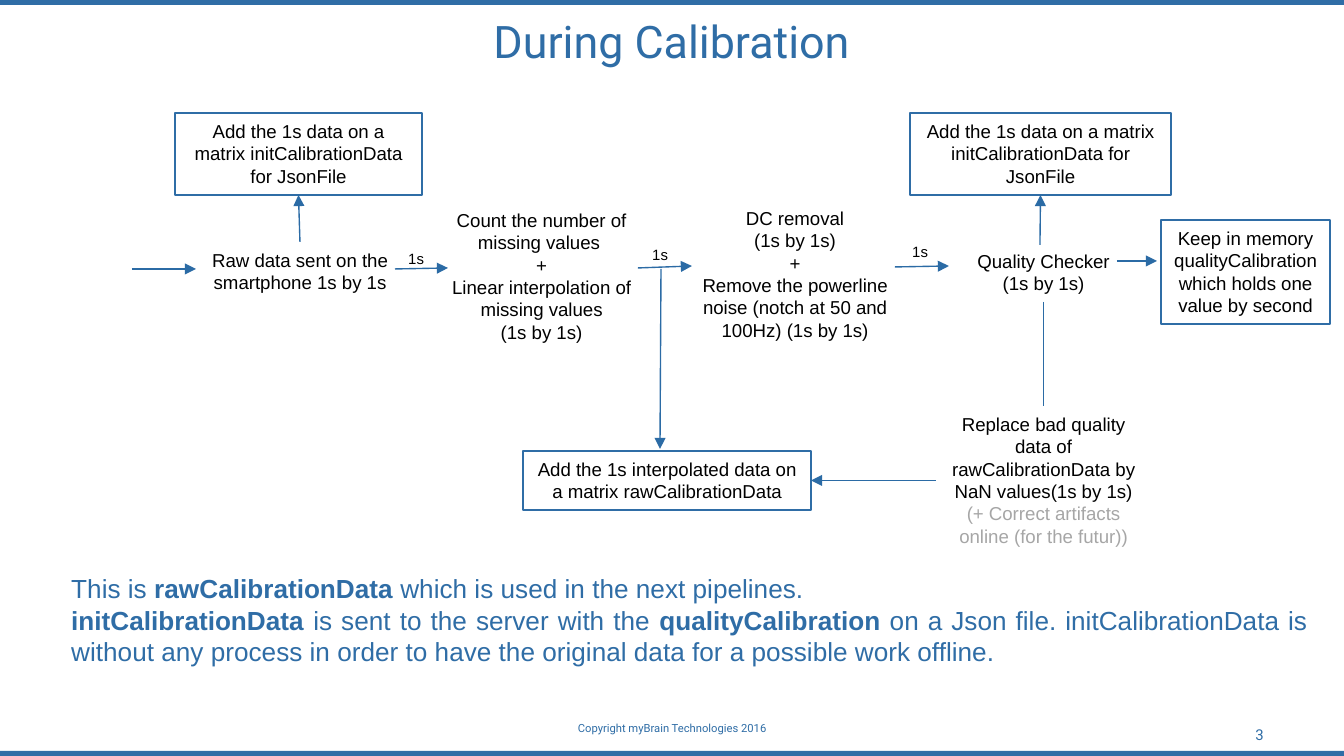
from lxml import etree
from pptx import Presentation
from pptx import util as u
from pptx.dml.color import RGBColor
from pptx.enum import shapes, text
from pptx.oxml.ns import qn

PX = 914400 / 134.4
BLUE = RGBColor(0x2F, 0x6D, 0xA6)
ARROW_BLUE = RGBColor(0x2B, 0x6B, 0xA5)
BLACK = RGBColor(0, 0, 0)
GREY = RGBColor(0xA6, 0xA6, 0xA6)
CENTER, RIGHT = text.PP_ALIGN.CENTER, text.PP_ALIGN.RIGHT
LEFT, JUSTIFY = text.PP_ALIGN.LEFT, text.PP_ALIGN.JUSTIFY
TOP, MIDDLE = text.MSO_ANCHOR.TOP, text.MSO_ANCHOR.MIDDLE
STEP = {"name": "Arial", "size": u.Pt(10)}
LABEL = {"name": "Arial", "size": u.Pt(8)}
NOTE = {"name": "Arial", "size": u.Pt(14)}


def emu(*lengths):
    """Turn px lengths into EMU."""
    return [round(length * PX) for length in lengths]


def write(shape, paragraphs, font, color, align=CENTER, anchor=TOP, wrap=True):
    """Fill a shape with paragraphs of (words, overrides) runs."""
    frame = shape.text_frame
    frame.word_wrap = wrap
    frame.vertical_anchor = anchor
    for index, runs in enumerate(paragraphs):
        paragraph = frame.paragraphs[0] if index == 0 else frame.add_paragraph()
        paragraph.alignment = align
        for words, overrides in runs:
            run = paragraph.add_run()
            run.text = words
            style = {**font, "color": color, **overrides}
            run.font.color.rgb = style.pop("color")
            for name, value in style.items():
                setattr(run.font, name, value)


def plain(*lines):
    """Make one unformatted run per paragraph."""
    return [[(line, {})] for line in lines]


def add_text(slide, box, paragraphs, font, color, **layout):
    """Add a text box and return it."""
    area = slide.shapes.add_textbox(*emu(*box))
    write(area, paragraphs, font, color, **layout)
    return area


def add_box(slide, box, words):
    """Add an outlined storage box."""
    storage = slide.shapes.add_shape(shapes.MSO_SHAPE.RECTANGLE, *emu(*box))
    storage.shadow.inherit = False
    storage.fill.background()
    storage.line.color.rgb = BLUE
    storage.line.width = u.Pt(0.75)
    write(storage, plain(words), STEP, BLACK)
    return storage


def add_arrow(slide, ends, begin=None, end=None, head=True):
    """Add a flow line, joined to (shape, side) pairs where given."""
    arrow = slide.shapes.add_connector(shapes.MSO_CONNECTOR.STRAIGHT, *emu(*ends))
    if begin:
        arrow.begin_connect(*begin)
    if end:
        arrow.end_connect(*end)
    arrow.line.color.rgb = ARROW_BLUE
    arrow.line.width = u.Pt(0.75)
    if head:
        line = arrow.line._get_or_add_ln()
        etree.SubElement(line, qn("a:tailEnd"), type="triangle")
    etree.SubElement(arrow._element.spPr, qn("a:effectLst"))


def add_frame(slide, box):
    """Add the edge bars, title, copyright line and page number."""
    left, top, width, height = box
    for bar_top in (top, top + height - 5):
        bar = slide.shapes.add_shape(
            shapes.MSO_SHAPE.RECTANGLE, *emu(left, bar_top, width, 5))
        bar.shadow.inherit = False
        bar.fill.solid()
        bar.fill.fore_color.rgb = BLUE
        bar.line.fill.background()
    for place, words, size, align, anchor in (
        ((158, 12, 1027, 58), "During Calibration", 24, CENTER, MIDDLE),
        ((459, 715, 426, 40), "Copyright myBrain Technologies 2016", 6, CENTER, TOP),
        ((964, 715, 313, 40), "3", 8, RIGHT, MIDDLE),
    ):
        x, y, w, h = place
        font = {"name": "Roboto", "size": u.Pt(size)}
        add_text(slide, (left + x, top + y, w, h), plain(words), font, BLUE,
                 align=align, anchor=anchor)


def add_pipeline(slide, box):
    """Add the calibration steps, storage boxes and flow arrows."""
    left, top = box[:2]

    def at(x, y, w, h):
        """Place a rectangle inside the pipeline."""
        return left + x, top + y, w, h

    def between(x1, y1, x2, y2):
        """Place two line ends inside the pipeline."""
        return left + x1, top + y1, left + x2, top + y2

    init_words = "Add the 1s data on a matrix initCalibrationData for JsonFile"
    raw_init = add_box(slide, at(43, 0, 247, 82), init_words)
    checked_init = add_box(slide, at(778, 0, 261, 82), init_words)
    interpolated = add_box(
        slide, at(391, 338, 288, 59),
        "Add the 1s interpolated data on a matrix rawCalibrationData")
    memory = add_box(
        slide, at(1029, 107, 169, 104),
        "Keep in memory qualityCalibration which holds one value by second")
    memory.text_frame.margin_left, memory.text_frame.margin_right = emu(10, 10)

    raw, _, _, checker, replacement = [
        add_text(slide, at(*place), paragraphs, STEP, BLACK)
        for place, paragraphs in (
            ((33, 129, 270, 60), plain("Raw data sent on the smartphone 1s by 1s")),
            ((302, 89, 215, 149), plain(
                "Count the number of missing values ", "+",
                "Linear interpolation of missing values", "(1s by 1s)")),
            ((542, 87, 242, 149), plain(
                "DC removal", "(1s by 1s)", "+",
                "Remove the powerline noise (notch at 50 and 100Hz) (1s by 1s)")),
            ((804, 130, 215, 59), plain("Quality Checker", "(1s by 1s)")),
            ((804, 293, 215, 149), [
                [("Replace bad quality data of rawCalibrationData by "
                  "NaN values(1s by 1s)", {})],
                [("(+ Correct artifacts online (for the futur))",
                  {"color": GREY})]]),
        )
    ]
    for x, y in ((263, 130), (507, 126), (767, 123)):
        add_text(slide, at(x, y, 43, 32), plain("1s"), LABEL, BLACK,
                 align=LEFT, wrap=False)

    for ends in (
        (0, 156, 64, 156), (263, 156, 316, 155), (506, 155, 560, 153),
        (763, 154, 817, 153), (529, 156, 528, 336), (985, 148, 1025, 148),
    ):
        add_arrow(slide, between(*ends))
    add_arrow(slide, between(168, 129, 166, 82), (raw, 0), (raw_init, 2))
    add_arrow(slide, between(908, 132, 908, 82), end=(checked_init, 2))
    add_arrow(slide, between(912, 189, 912, 293), (checker, 2), (replacement, 0),
              head=False)
    add_arrow(slide, between(804, 367, 679, 367), (replacement, 1),
              (interpolated, 3))


def add_note(slide, box):
    """Add the closing explanation."""
    bold = {"bold": True}
    add_text(slide, box, [
        [("This is ", {}), ("rawCalibrationData ", bold),
         ("which is used in the next pipelines.", {})],
        [("initCalibrationData ", bold), ("is sent to the server with the ", {}),
         ("qualityCalibration", bold),
         (" on a Json file. initCalibrationData is without any process in order "
          "to have the original data for a possible work offline.", {})],
    ], NOTE, BLUE, align=JUSTIFY)


def main():
    """Build and save the slide."""
    deck = Presentation()
    deck.slide_width, deck.slide_height = emu(1344, 756)
    slide = deck.slides.add_slide(deck.slide_layouts[6])
    add_frame(slide, (0, 0, 1344, 756))
    add_pipeline(slide, (132, 113, 1198, 442))
    add_note(slide, (58, 566, 1263, 109))
    deck.save("out.pptx")


if __name__ == "__main__":
    main()
